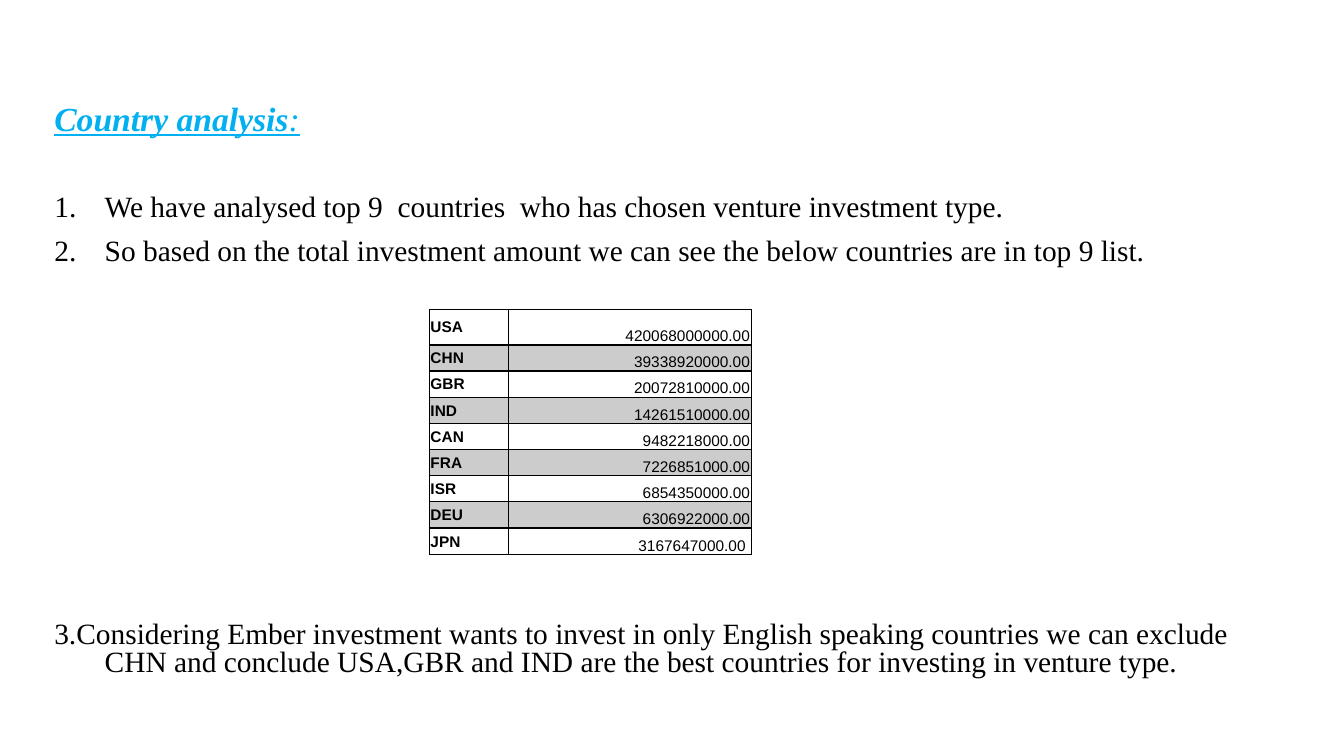
from dataclasses import dataclass

import lxml.etree
import pptx
import pptx.dml.color
import pptx.enum.text
import pptx.oxml.ns
import pptx.util

Inches = pptx.util.Inches
Pt = pptx.util.Pt
RGBColor = pptx.dml.color.RGBColor
Anchor = pptx.enum.text.MSO_ANCHOR
Align = pptx.enum.text.PP_ALIGN
qn = pptx.oxml.ns.qn

BLACK = RGBColor(0x00, 0x00, 0x00)
SKY_BLUE = RGBColor(0x00, 0xB0, 0xF0)
SERIF = "Times New Roman"
SANS = "Arial"
HANGING_INDENT = Inches(0.5)


@dataclass
class Point:
    text: str
    space_before: float
    numbered: bool


@dataclass
class Investment:
    country: str
    amount: str


POINTS = [
    Point("We have analysed top 9  countries  who has chosen venture investment type.", 41, True),
    Point("So based on the total investment amount we can see the below countries "
          "are in top 9 list.", 11, True),
    Point("3.Considering Ember investment wants to invest in only English speaking countries "
          "we can exclude CHN and conclude USA,GBR and IND are the best countries for "
          "investing in venture type.", 253, False),
]

INVESTMENTS = [
    Investment("USA", "420068000000.00"),
    Investment("CHN", "39338920000.00"),
    Investment("GBR", "20072810000.00"),
    Investment("IND", "14261510000.00"),
    Investment("CAN", "9482218000.00"),
    Investment("FRA", "7226851000.00"),
    Investment("ISR", "6854350000.00"),
    Investment("DEU", "6306922000.00"),
    Investment("JPN", "3167647000.00 "),
]


def add_run(paragraph, text: str, size: float, face: str, color: RGBColor,
            bold: bool = False, heading: bool = False) -> None:
    run = paragraph.add_run()
    run.text = text
    run.font.size = Pt(size)
    run.font.name = face
    run.font.color.rgb = color
    run.font.bold = bold
    run.font.italic = heading
    run.font.underline = heading


def add_point(frame, point: Point) -> None:
    paragraph = frame.add_paragraph()
    properties = paragraph._p.get_or_add_pPr()
    properties.set("marL", str(HANGING_INDENT))
    properties.set("indent", str(-HANGING_INDENT))
    if point.numbered:
        lxml.etree.SubElement(properties, qn("a:buAutoNum"), type="arabicPeriod")
    else:
        lxml.etree.SubElement(properties, qn("a:buNone"))
    paragraph.line_spacing = 0.8
    paragraph.space_before = Pt(point.space_before)
    paragraph.font.size = Pt(21)
    paragraph.font.name = SERIF
    add_run(paragraph, point.text, 21, SERIF, BLACK)


def add_analysis(slide) -> None:
    analysis = slide.shapes.add_textbox(Inches(0.44), Inches(1), Inches(12.21), Inches(5.78))
    frame = analysis.text_frame
    frame.word_wrap = True
    heading = frame.paragraphs[0]
    heading.line_spacing = 0.8
    add_run(heading, "Country analysis", 24, SERIF, SKY_BLUE, bold=True, heading=True)
    add_run(heading, ":", 24, SERIF, SKY_BLUE, heading=True)
    for point in POINTS:
        add_point(frame, point)


def set_borders(cell, widths: dict[str, float]) -> None:
    """Put a solid black line on each named side, widths in points."""
    properties = cell._tc.get_or_add_tcPr()
    for position, (side, width) in enumerate(widths.items()):
        line = lxml.etree.Element(qn(f"a:ln{side}"), w=str(Pt(width)))
        fill = lxml.etree.SubElement(line, qn("a:solidFill"))
        lxml.etree.SubElement(fill, qn("a:srgbClr"), val=str(BLACK))
        properties.insert(position, line)


def shade(cell, shaded: bool) -> None:
    if not shaded:
        cell.fill.background()
        return
    cell.fill.solid()
    cell.fill.fore_color.rgb = BLACK
    color = cell._tc.tcPr.find(f"{qn('a:solidFill')}/{qn('a:srgbClr')}")
    lxml.etree.SubElement(color, qn("a:alpha"), val="20000")


def fill_cell(cell, text: str, row: int, is_country: bool) -> None:
    cell.margin_left = cell.margin_top = cell.margin_right = Inches(0.01)
    cell.margin_bottom = 0
    cell.vertical_anchor = Anchor.MIDDLE if is_country else Anchor.BOTTOM
    paragraph = cell.text_frame.paragraphs[0]
    paragraph.alignment = Align.LEFT if is_country else Align.RIGHT
    add_run(paragraph, text, 11, SANS, BLACK, bold=is_country)
    shade(cell, row % 2 == 1)
    set_borders(cell, {"L": 1, "R": 1, "T": 2 if row == 1 else 1, "B": 2 if row == 0 else 1})


def add_investments(slide) -> None:
    frame = slide.shapes.add_table(len(INVESTMENTS), 2, Inches(4.26), Inches(3.07),
                                   Inches(3.19), Inches(2.44))
    table = frame.table
    table.first_row = False
    table.horz_banding = False
    table.columns[0].width = Inches(0.78)
    table.columns[1].width = Inches(2.41)
    for row, investment in enumerate(INVESTMENTS):
        table.rows[row].height = Inches(0.35 if row == 0 else 0.26)
        fill_cell(table.cell(row, 0), investment.country, row, True)
        fill_cell(table.cell(row, 1), investment.amount, row, False)


def main() -> None:
    deck = pptx.Presentation()
    deck.slide_width = Inches(13.33)
    deck.slide_height = Inches(7.5)
    slide = deck.slides.add_slide(deck.slide_layouts[6])
    add_analysis(slide)
    add_investments(slide)
    deck.save("out.pptx")


if __name__ == "__main__":
    main()
